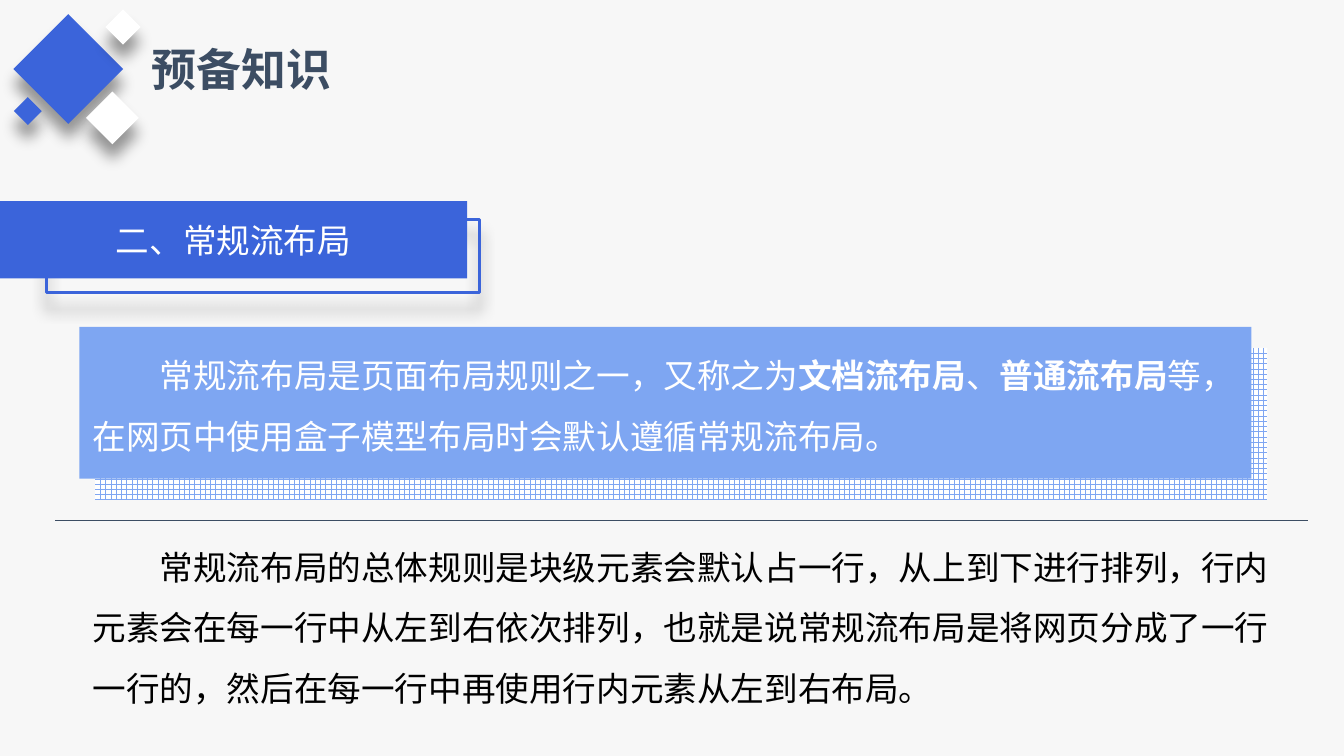
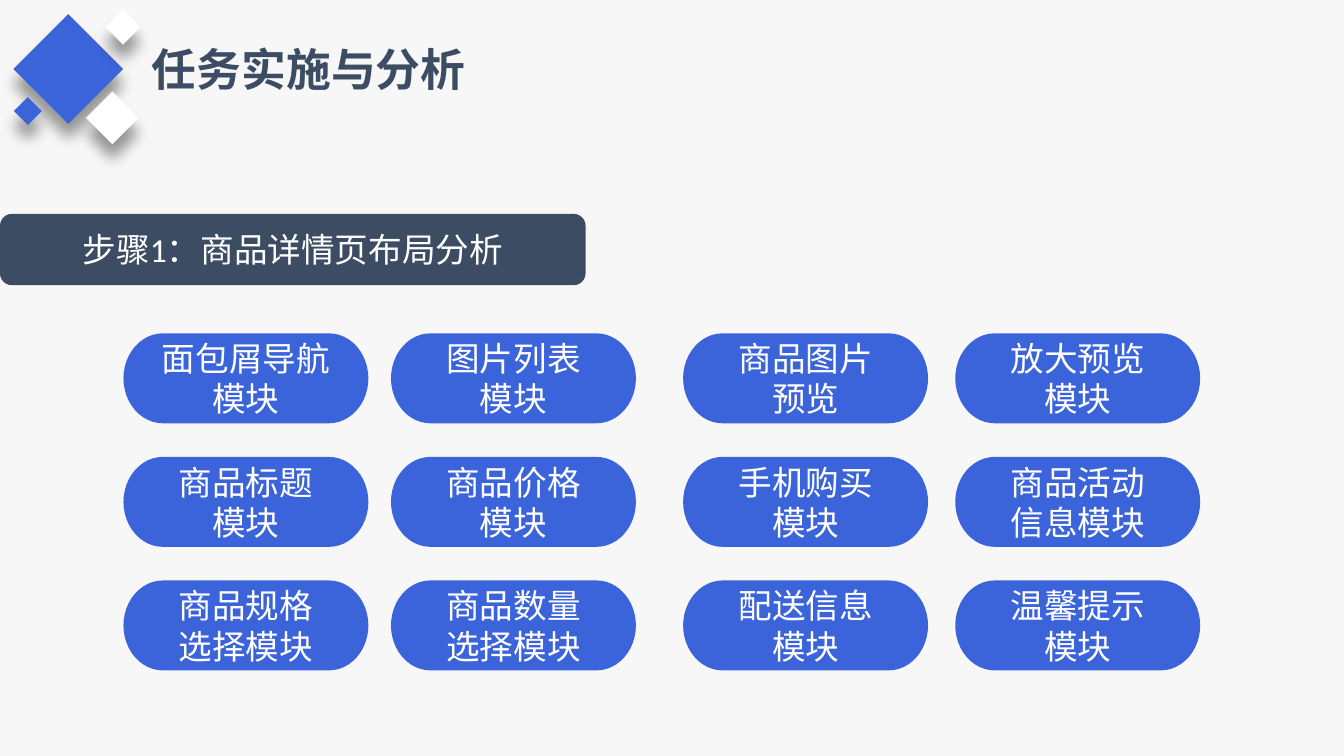
"""Builds two lesson slides on normal flow layout and product page modules."""
from dataclasses import dataclass
from typing import NamedTuple

from lxml.etree import SubElement
from pptx import Presentation
from pptx.dml.color import RGBColor
from pptx.enum.dml import MSO_PATTERN
from pptx.enum.shapes import MSO_CONNECTOR, MSO_SHAPE
from pptx.enum.text import MSO_ANCHOR, MSO_AUTO_SIZE, PP_ALIGN
from pptx.oxml.ns import qn
from pptx.shapes.autoshape import Shape
from pptx.slide import Slide
from pptx.text.text import TextFrame, _Paragraph
from pptx.util import Pt

PAPER, BLUE, PALE_BLUE, SLATE = "F7F7F7", "3B64DA", "7EA6F2", "3C4D63"
WHITE, BLACK = "FFFFFF", "000000"
LATIN, CHINESE = "Calibri", "Noto Sans CJK SC"


class Box(NamedTuple):
    left: float
    top: float
    width: float
    height: float


class Phrase(NamedTuple):
    text: str
    bold: bool = False


@dataclass(frozen=True)
class Diamond:
    left: float
    top: float
    side: float
    fill: str


DIAMONDS = (
    Diamond(15.8, 16.2, 41.6, BLUE),
    Diamond(50.2, 53.2, 20, WHITE),
    Diamond(59.2, 7.8, 13.4, WHITE),
    Diamond(9.6, 54.2, 10.6, BLUE),
)
DEFINITION = (
    Phrase("常规流布局是页面布局规则之一，又称之为"),
    Phrase("文档流布局", True),
    Phrase("、"),
    Phrase("普通流布局", True),
    Phrase("等，在网页中使用盒子模型布局时会默认遵循常规流布局。"),
)
RULE = (
    Phrase(
        "常规流布局的总体规则是块级元素会默认占一行，从上到下进行排列，"
        "行内元素会在每一行中从左到右依次排列，也就是说常规流布局是将网页分成了一行一行的，"
        "然后在每一行中再使用行内元素从左到右布局。"
    ),
)
MODULE_LEFTS = (66.2, 209.5, 366, 511.8)
MODULE_TOP, MODULE_STEP = 178.6, 66.2
MODULES = (
    ("面包屑导航模块", "图片列表\n模块", "商品图片\n预览", "放大预览\n模块"),
    ("商品标题\n模块", "商品价格\n模块", "手机购买\n模块", "商品活动\n信息模块"),
    ("商品规格\n选择模块", "商品数量\n选择模块", "配送信息\n模块", "温馨提示\n模块"),
)


def rgb(value: str) -> RGBColor:
    return RGBColor.from_string(value)


def style_runs(paragraph: _Paragraph, color: str, size: float = 18, font: str = LATIN) -> None:
    for run in paragraph.runs:
        run.font.size = Pt(size)
        run.font.color.rgb = rgb(color)
        run.font.name = font
        SubElement(run.font._element, qn("a:ea")).set("typeface", CHINESE)


def add_shadow(shape: Shape) -> None:
    effects = shape._element.spPr.find(qn("a:effectLst"))
    shadow = SubElement(effects, qn("a:outerShdw"))
    settings = {"blurRad": Pt(8), "dist": Pt(8), "dir": 90 * 60000, "algn": "t", "rotWithShape": 0}
    for key, value in settings.items():
        shadow.set(key, str(value))
    color = SubElement(shadow, qn("a:srgbClr"))
    color.set("val", BLACK)
    SubElement(color, qn("a:alpha")).set("val", "40000")


def add_block(slide: Slide, box: Box, fill: str | None, kind: MSO_SHAPE = MSO_SHAPE.RECTANGLE) -> Shape:
    shape = slide.shapes.add_shape(kind, *map(Pt, box))
    shape.shadow.inherit = False
    shape.line.fill.background()
    if fill:
        shape.fill.solid()
        shape.fill.fore_color.rgb = rgb(fill)
    else:
        shape.fill.background()
    return shape


def add_label(shape: Shape, text: str, font: str = LATIN) -> None:
    frame = shape.text_frame
    frame.text = text
    frame.word_wrap = True
    frame.vertical_anchor = MSO_ANCHOR.MIDDLE
    for paragraph in frame.paragraphs:
        paragraph.alignment = PP_ALIGN.CENTER
        style_runs(paragraph, WHITE, font=font)


def write_prose(frame: TextFrame, phrases: tuple[Phrase, ...], color: str) -> None:
    frame.word_wrap = True
    paragraph = frame.paragraphs[0]
    paragraph.alignment = PP_ALIGN.LEFT
    paragraph.line_spacing = 1.5
    paragraph._p.get_or_add_pPr().set("indent", str(Pt(36)))
    for phrase in phrases:
        run = paragraph.add_run()
        run.text = phrase.text
        run.font.bold = phrase.bold
    style_runs(paragraph, color)


def add_titled_slide(deck: Presentation, heading: str, title_width: float) -> Slide:
    slide = deck.slides.add_slide(deck.slide_layouts.get_by_name("Title Only"))
    title = slide.shapes.title
    title.left, title.top, title.width, title.height = map(Pt, Box(74.2, 18.7, title_width, 36))
    frame = title.text_frame
    frame.text = heading
    frame.word_wrap = False
    frame.auto_size = MSO_AUTO_SIZE.SHAPE_TO_FIT_TEXT
    frame.vertical_anchor = MSO_ANCHOR.TOP
    paragraph = frame.paragraphs[0]
    paragraph.alignment = PP_ALIGN.LEFT
    style_runs(paragraph, SLATE, 24, CHINESE)
    paragraph.runs[0].font.bold = True
    for diamond in DIAMONDS:
        shape = add_block(slide, Box(diamond.left, diamond.top, diamond.side, diamond.side), diamond.fill)
        shape.rotation = 45
        add_shadow(shape)
    return slide


def build_flow_slide(deck: Presentation) -> None:
    slide = add_titled_slide(deck, "预备知识", 111)

    section_outline = add_block(slide, Box(25, 117.4, 231.9, 39.5), None)
    section_outline.line.color.rgb = rgb(BLUE)
    section_outline.line.width = Pt(1.5)
    add_shadow(section_outline)
    section = add_block(slide, Box(0, 107.8, 250.3, 41.4), BLUE)
    add_label(section, "二、常规流布局", CHINESE)

    grid = add_block(slide, Box(51, 186.4, 628, 81.3), None)
    grid.fill.patterned()
    grid.fill.pattern = MSO_PATTERN.LARGE_GRID
    grid.fill.fore_color.rgb = rgb("7FA6F2")
    grid.fill.back_color.rgb = rgb(WHITE)

    definition = add_block(slide, Box(42.5, 175.2, 628, 81.3), PALE_BLUE)
    definition.text_frame.vertical_anchor = MSO_ANCHOR.MIDDLE
    definition.text_frame.margin_bottom = Pt(11.5)
    write_prose(definition.text_frame, DEFINITION, WHITE)

    divider = slide.shapes.add_connector(MSO_CONNECTOR.STRAIGHT, Pt(29.5), Pt(278.6), Pt(700.6), Pt(278.6))
    divider.line.color.rgb = rgb(SLATE)
    divider.line.width = Pt(0.5)
    SubElement(divider._element.spPr, qn("a:effectLst"))

    rule = slide.shapes.add_textbox(*map(Pt, Box(42.5, 278.6, 647.3, 105.1)))
    rule.text_frame.auto_size = MSO_AUTO_SIZE.SHAPE_TO_FIT_TEXT
    write_prose(rule.text_frame, RULE, BLACK)


def build_modules_slide(deck: Presentation) -> None:
    slide = add_titled_slide(deck, "任务实施与分析", 183)
    step = add_block(slide, Box(0, 114.6, 313.7, 38.2), SLATE, MSO_SHAPE.ROUNDED_RECTANGLE)
    add_label(step, "步骤1：商品详情页布局分析")
    for row, names in enumerate(MODULES):
        for left, name in zip(MODULE_LEFTS, names):
            box = Box(left, MODULE_TOP + row * MODULE_STEP, 131.2, 48.2)
            add_label(add_block(slide, box, BLUE, MSO_SHAPE.FLOWCHART_TERMINATOR), name)


def main() -> None:
    deck = Presentation()
    deck.slide_width, deck.slide_height = Pt(720), Pt(405)
    backdrop = deck.slide_master.background.fill
    backdrop.solid()
    backdrop.fore_color.rgb = rgb(PAPER)
    build_flow_slide(deck)
    build_modules_slide(deck)
    deck.save("out.pptx")


if __name__ == "__main__":
    main()
